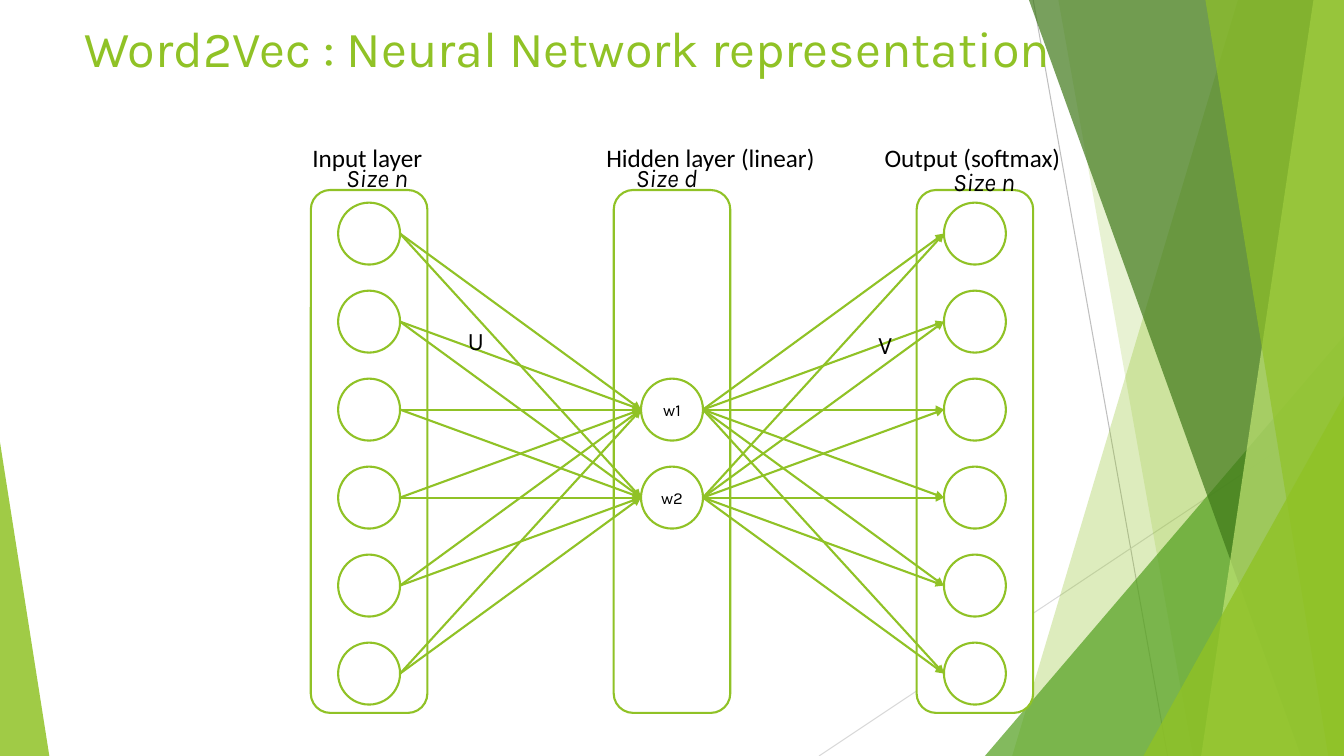
from dataclasses import dataclass
from itertools import product

from lxml.etree import SubElement
from pptx import Presentation
from pptx.dml.color import RGBColor
from pptx.enum.shapes import MSO_CONNECTOR as Connector, MSO_SHAPE as Preset
from pptx.enum.text import MSO_ANCHOR as Anchor, MSO_AUTO_SIZE as AutoSize, PP_ALIGN as Align
from pptx.oxml.ns import qn
from pptx.util import Pt

PX = 9525
WIDTH, HEIGHT = 1280, 720


@dataclass(frozen=True)
class Theme:
    green: str = "90C226"
    mid_green: str = "54A021"
    dark_green: str = "3F7819"
    pale_green: str = "C0E474"
    white: str = "FFFFFF"
    black: str = "000000"
    gray: str = "BFBFBF"
    light_gray: str = "D9D9D9"
    heading_font: str = "Karla"
    label_font: str = "Calibri"
    title_size: int = 36
    label_size: int = 18
    unit_size: int = 12
    outline: float = 1.5
    hairline: float = 0.75


THEME = Theme()


@dataclass(frozen=True)
class Box:
    left: int
    top: int
    width: int
    height: int

    def emu(self):
        return [round(n * PX) for n in (self.left, self.top, self.width, self.height)]


def set_all(target, values):
    for name, value in values.items():
        setattr(target, name, value)


def paint(shape, fill, alpha=100, line=None):
    shape.shadow.inherit = False
    shape.fill.solid()
    shape.fill.fore_color.rgb = RGBColor.from_string(fill)
    if alpha < 100:
        color = shape.fill._xPr.find(qn("a:solidFill"))[0]
        SubElement(color, qn("a:alpha"), val=str(alpha * 1000))
    if line:
        shape.line.color.rgb = RGBColor.from_string(line)
        shape.line.width = Pt(THEME.outline)
    else:
        shape.line.fill.background()


def write(shape, text, size, font, color=THEME.black, italic=False, align=Align.LEFT):
    paragraph = shape.text_frame.paragraphs[0]
    paragraph.alignment = align
    run = paragraph.add_run()
    run.text = text
    set_all(run.font, {"size": Pt(size), "name": font, "italic": italic})
    run.font.color.rgb = RGBColor.from_string(color)


def add_line(slide, start, end, color, width, arrow=False):
    points = [round(n * PX) for n in (*start, *end)]
    connector = slide.shapes.add_connector(Connector.STRAIGHT, *points)
    connector.line.color.rgb = RGBColor.from_string(color)
    connector.line.width = Pt(width)
    if arrow:
        SubElement(connector.line._get_or_add_ln(), qn("a:tailEnd"), type="triangle")
    SubElement(connector._element.spPr, qn("a:effectLst"))


def add_label(slide, box, text, font=THEME.heading_font, italic=False):
    label = slide.shapes.add_textbox(*box.emu())
    set_all(label.text_frame, {"word_wrap": False, "auto_size": AutoSize.SHAPE_TO_FIT_TEXT})
    write(label, text, THEME.label_size, font, italic=italic)


def add_band(slide, box, top_left, bottom_left, color, alpha):
    right, bottom = box.left + box.width, box.top + box.height
    builder = slide.shapes.build_freeform(top_left, box.top, scale=PX)
    builder.add_line_segments([(right, box.top), (right, bottom), (bottom_left, bottom)])
    paint(builder.convert_to_shape(), color, alpha)


def add_triangle(slide, box, apex, color, alpha):
    triangle = slide.shapes.add_shape(Preset.ISOSCELES_TRIANGLE, *box.emu())
    triangle.adjustments[0] = apex
    paint(triangle, color, alpha)


def add_backdrop(slide, box):
    right, bottom = box.left + box.width, box.top + box.height
    add_line(slide, (984, box.top), (1112, bottom), THEME.gray, THEME.hairline)
    add_line(slide, (right, 387), (780, bottom), THEME.light_gray, THEME.hairline)
    add_band(slide, box, 1179, 964, THEME.green, 30)
    add_band(slide, box, 1008, 1136, THEME.green, 20)
    add_triangle(slide, Box(right - 342, bottom - 400, 342, 400), 1, THEME.mid_green, 72)
    add_band(slide, box, 980, 1239, THEME.dark_green, 70)
    add_band(slide, box, 1251, 1144, THEME.pale_green, 70)
    add_band(slide, box, 1148, 1265, THEME.green, 65)
    add_triangle(slide, Box(right - 191, bottom - 343, 191, 343), 1, THEME.green, 80)
    add_triangle(slide, Box(box.left, bottom - 299, 47, 299), 0, THEME.green, 85)


def add_title(slide, box):
    title = slide.shapes.add_textbox(*box.emu())
    set_all(title.text_frame, {"word_wrap": True, "vertical_anchor": Anchor.TOP})
    write(title, "Word2Vec : Neural Network representation",
          THEME.title_size, THEME.heading_font, THEME.green)


def add_layer(slide, box, units):
    frame = slide.shapes.add_shape(Preset.ROUNDED_RECTANGLE, *box.emu())
    paint(frame, THEME.white, line=THEME.green)
    diameter, rows, pad_top, pad_bottom = 59, 6, 12, 8
    pitch = (box.height - pad_top - pad_bottom - diameter) / (rows - 1)
    left = box.left + (box.width - diameter) / 2
    ports = []
    for row, text in units.items():
        top = box.top + pad_top + row * pitch
        unit = slide.shapes.add_shape(Preset.OVAL, *Box(left, top, diameter, diameter).emu())
        paint(unit, THEME.white, line=THEME.green)
        if text:
            set_all(unit.text_frame, {"vertical_anchor": Anchor.MIDDLE, "word_wrap": True})
            write(unit, text, THEME.unit_size, THEME.heading_font, align=Align.CENTER)
        middle = top + diameter / 2
        ports.append(((left, middle), (left + diameter, middle)))
    return ports


def connect_layers(slide, sources, targets):
    for (_, start), (end, _) in product(sources, targets):
        add_line(slide, start, end, THEME.green, THEME.outline, arrow=True)


def add_network(slide, box):
    layer_width = 111
    pitch = (box.width - layer_width) / 2
    outer = dict.fromkeys(range(6), "")
    layers = [add_layer(slide, Box(box.left + i * pitch, box.top, layer_width, box.height), units)
              for i, units in enumerate((outer, {2: "w1", 3: "w2"}, outer))]
    for sources, targets in zip(layers, layers[1:]):
        connect_layers(slide, sources, targets)
    for dx, width, text in ((-8, 126, "Input layer"), (272, 222, "Hidden layer (linear)"),
                            (537, 193, "Output (softmax)")):
        add_label(slide, Box(box.left + dx, box.top - 50, width, 38), text, THEME.label_font)
    for dx, dy, text in ((24, -31, "Size n"), (300, -31, "Size d"), (602, -27, "Size n")):
        add_label(slide, Box(box.left + dx, box.top + dy, 84, 38), text, italic=True)
    for dx, dy, text in ((140, 124, "U"), (531, 128, "V")):
        add_label(slide, Box(box.left + dx, box.top + dy, 34, 38), text)


def main():
    presentation = Presentation()
    set_all(presentation, {"slide_width": WIDTH * PX, "slide_height": HEIGHT * PX})
    slide = presentation.slides.add_slide(presentation.slide_layouts[6])
    add_backdrop(slide, Box(0, 0, WIDTH, HEIGHT))
    add_title(slide, Box(71, 12, 1090, 138))
    add_network(slide, Box(296, 181, 688, 498))
    presentation.save("out.pptx")


if __name__ == "__main__":
    main()
